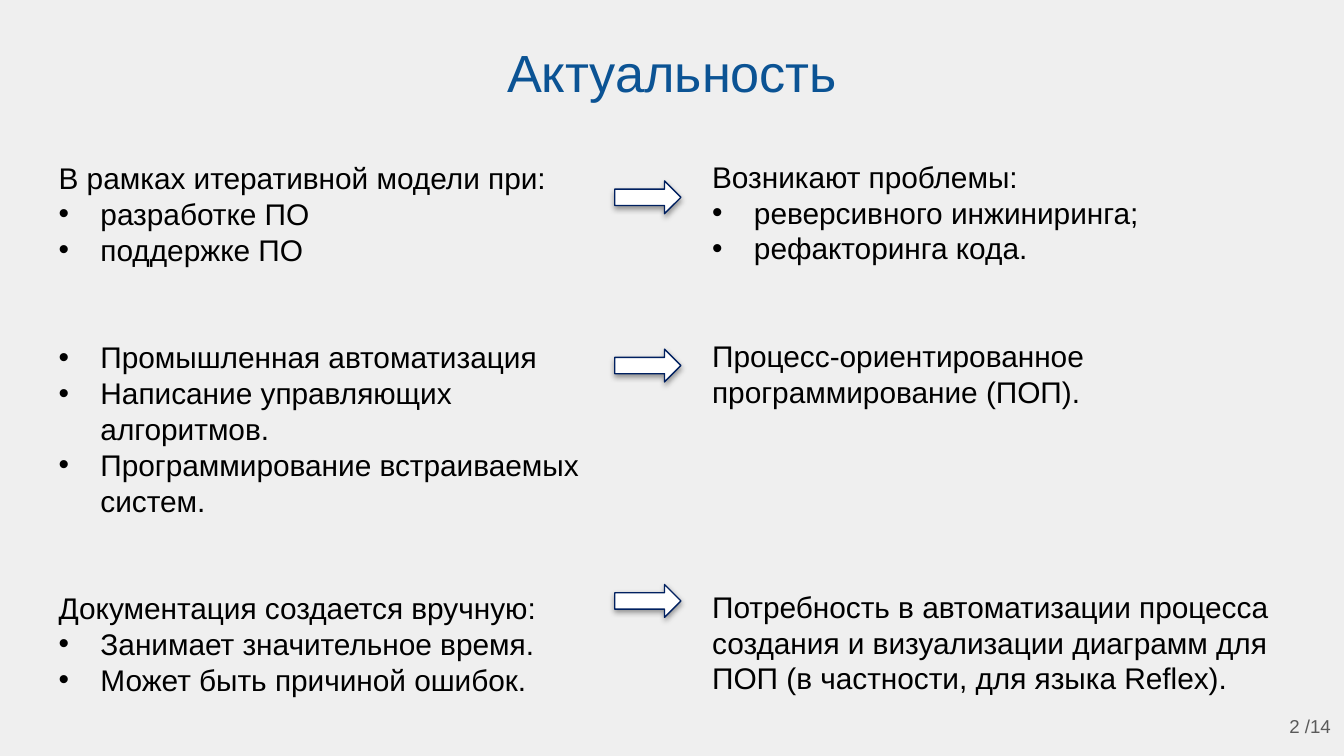
from lxml import etree
from pptx import Presentation
from pptx import util as u
from pptx.dml.color import RGBColor
from pptx.enum import shapes, text
from pptx.oxml import ns

BACKGROUND = RGBColor(0xEF, 0xEF, 0xEF)
BLACK = RGBColor(0, 0, 0)
WHITE = RGBColor(0xFF, 0xFF, 0xFF)
BLUE = RGBColor(0x0B, 0x53, 0x94)
NAVY = RGBColor(0x00, 0x20, 0x60)
GREY = RGBColor(0x59, 0x59, 0x59)

INDENT = u.Cm(0.79)
GROUP_GAP = u.Pt(38.4)
ARROW_LEFT = 11.62
ARROW_TOPS = (3.42, 6.6, 11.05)

# Each column is a list of groups; lines starting with "•" are list items.
CAUSES = [
    ["В рамках итеративной модели при:", "•разработке ПО", "•поддержке ПО"],
    ["•Промышленная автоматизация", "•Написание управляющих алгоритмов.",
     "•Программирование встраиваемых систем."],
    ["Документация создается вручную:", "•Занимает значительное время.",
     "•Может быть причиной ошибок."],
]
PROBLEMS = [
    ["Возникают проблемы:", "•реверсивного инжиниринга;", "•рефакторинга кода."],
    ["Процесс-ориентированное программирование (ПОП)."],
]
NEED = [["Потребность в автоматизации процесса создания и визуализации "
         "диаграмм для ПОП (в частности, для языка Reflex)."]]


def add_bullet(paragraph):
    properties = paragraph._p.get_or_add_pPr()
    properties.set("marL", str(INDENT))
    properties.set("indent", str(-INDENT))
    color = etree.SubElement(properties, ns.qn("a:buClr"))
    etree.SubElement(color, ns.qn("a:srgbClr"), val=str(BLACK))
    etree.SubElement(properties, ns.qn("a:buFont"), typeface="Arial")
    etree.SubElement(properties, ns.qn("a:buChar"), char="•")


def add_frame(slide, left, top, width, height, **frame_format):
    box = slide.shapes.add_textbox(*map(u.Cm, (left, top, width, height)))
    frame = box.text_frame
    for name, value in {"word_wrap": True, **frame_format}.items():
        setattr(frame, name, value)
    return frame


def write(paragraph, words, size, color):
    run = paragraph.add_run()
    run.text = words
    for name, value in {"name": "Arial", "size": u.Pt(size)}.items():
        setattr(run.font, name, value)
    run.font.color.rgb = color


def add_column(slide, groups, *place):
    frame = add_frame(slide, *place)
    paragraph = frame.paragraphs[0]
    for group_index, group in enumerate(groups):
        for line_index, line in enumerate(group):
            if group_index or line_index:
                paragraph = frame.add_paragraph()
            if line.startswith("•"):
                add_bullet(paragraph)
            if group_index and not line_index:
                paragraph.space_before = GROUP_GAP
            write(paragraph, line.lstrip("•"), 16, BLACK)


def add_label(slide, words, size, color, alignment, anchor, *place):
    inset = u.Cm(0.25)
    frame = add_frame(slide, *place, vertical_anchor=anchor,
                      margin_left=inset, margin_right=inset,
                      margin_top=inset, margin_bottom=inset)
    frame.paragraphs[0].alignment = alignment
    write(frame.paragraphs[0], words, size, color)


def add_shadow(shape):
    shape.shadow.inherit = False
    effects = shape._element.spPr.find(ns.qn("a:effectLst"))
    shadow = etree.SubElement(
        effects, ns.qn("a:outerShdw"), blurRad=str(u.Pt(3.1)),
        dist=str(u.Pt(1.6)), dir="5400000", rotWithShape="0")
    color = etree.SubElement(shadow, ns.qn("a:srgbClr"), val=str(BLACK))
    etree.SubElement(color, ns.qn("a:alpha"), val="38000")


def add_arrow(slide, top):
    arrow = slide.shapes.add_shape(
        shapes.MSO_SHAPE.RIGHT_ARROW,
        *map(u.Cm, (ARROW_LEFT, top, 1.25, 0.62)))
    arrow.fill.solid()
    arrow.fill.fore_color.rgb = WHITE
    arrow.line.color.rgb = NAVY
    arrow.line.width = u.Pt(0.75)
    add_shadow(arrow)


def main():
    deck = Presentation()
    deck.slide_width, deck.slide_height = u.Cm(25.4), u.Cm(14.29)
    slide = deck.slides.add_slide(deck.slide_layouts[6])
    slide.background.fill.solid()
    slide.background.fill.fore_color.rgb = BACKGROUND

    add_column(slide, CAUSES, 0.86, 2.9, 10.97, 11.13)
    add_column(slide, PROBLEMS, 13.21, 2.87, 11.28, 5.64)
    add_column(slide, NEED, 13.21, 11, 11.4, 2.9)
    for top in ARROW_TOPS:
        add_arrow(slide, top)

    add_label(slide, "Актуальность", 28, BLUE, text.PP_ALIGN.CENTER,
              text.MSO_ANCHOR.TOP, 0.87, 0.51, 23.67, 1.37)
    add_label(slide, "2 /14", 10, GREY, text.PP_ALIGN.RIGHT,
              text.MSO_ANCHOR.MIDDLE, 23.88, 13.18, 1.52, 1.09)
    deck.save("out.pptx")


if __name__ == "__main__":
    main()
